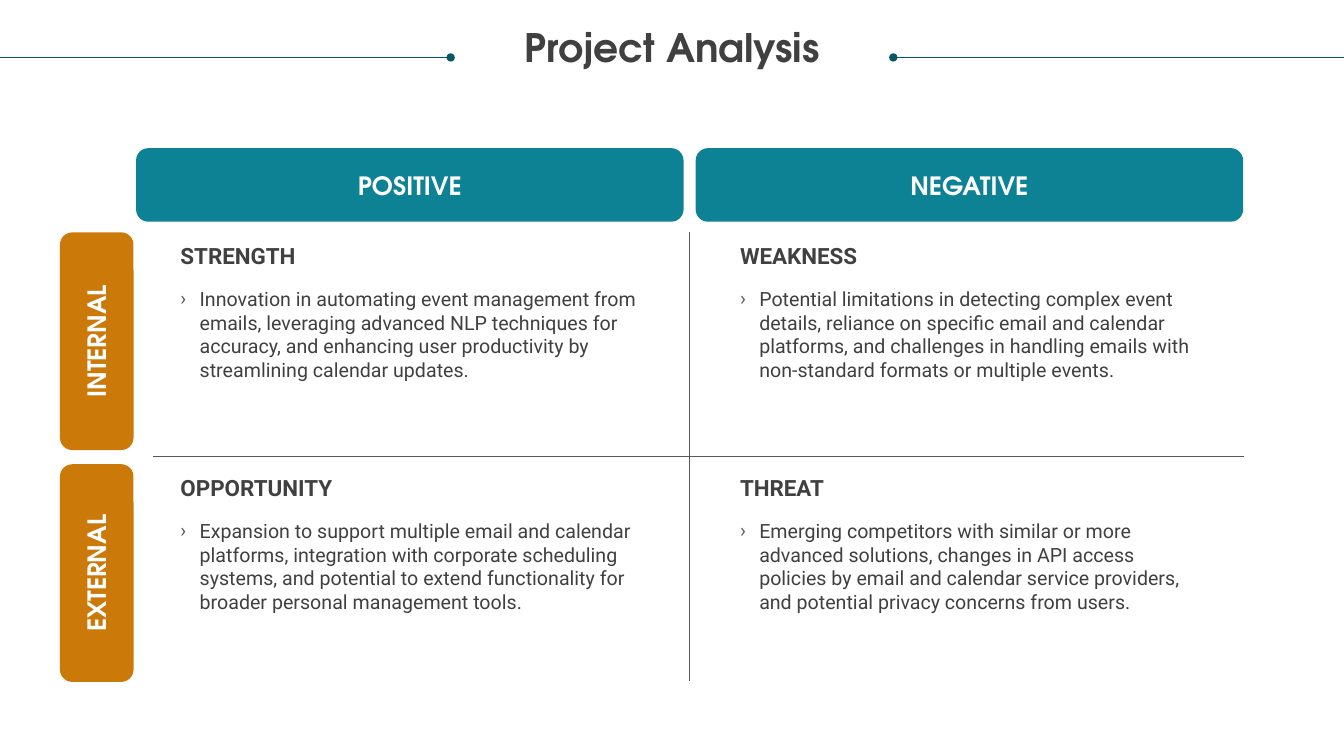
"""Builds a SWOT matrix slide for a project analysis."""
import dataclasses

import lxml.etree
import pptx
import pptx.dml.color
import pptx.enum.shapes
import pptx.enum.text
import pptx.oxml.ns
import pptx.util

Inches = pptx.util.Inches
ALIGN = pptx.enum.text.PP_ALIGN
ANCHOR = pptx.enum.text.MSO_ANCHOR


@dataclasses.dataclass(frozen=True)
class Theme:
    heading_font: str = "TeX Gyre Adventor"
    body_font: str = "Roboto"
    text: str = "404040"
    light: str = "FFFFFF"
    column: str = "0D8295"
    row: str = "CB7A09"
    title_rule: str = "085764"
    grid: str = "585858"
    title_size: int = 28
    bar_size: int = 18
    heading_size: int = 16
    body_size: int = 14
    line_width: float = 0.5


def rgb(color):
    return pptx.dml.color.RGBColor.from_string(color)


def add_xml(parent, tag, **attributes):
    return lxml.etree.SubElement(parent, pptx.oxml.ns.qn(tag), attributes)


class SlideBuilder:
    def __init__(self, slide, theme):
        self.slide = slide
        self.theme = theme

    def add_span(self, para, text, font, size, color, bold=False):
        span = para.add_run()
        span.text = text
        span.font.name = font
        span.font.size = pptx.util.Pt(size)
        span.font.bold = bold
        span.font.color.rgb = rgb(color)

    def prepare_frame(self, frame):
        frame.word_wrap = True
        frame.auto_size = pptx.enum.text.MSO_AUTO_SIZE.NONE
        frame.vertical_anchor = ANCHOR.TOP
        frame.margin_left = frame.margin_right = 0
        frame.margin_top = frame.margin_bottom = 0
        return frame.paragraphs[0]

    def title(self, text, left, top, width, height):
        box = self.slide.shapes.title
        box.left, box.top = Inches(left), Inches(top)
        box.width, box.height = Inches(width), Inches(height)
        para = self.prepare_frame(box.text_frame)
        para.alignment = ALIGN.CENTER
        para.line_spacing = 0.9
        self.add_span(para, text, self.theme.heading_font,
                      self.theme.title_size, self.theme.text, True)

    def text_box(self, left, top, width, height):
        box = self.slide.shapes.add_textbox(
            Inches(left), Inches(top), Inches(width), Inches(height))
        return self.prepare_frame(box.text_frame)

    def heading(self, text, left, top, width):
        para = self.text_box(left, top, width, 0.27)
        self.add_span(para, text, self.theme.body_font,
                      self.theme.heading_size, self.theme.text, True)

    def bullet(self, text, left, top, width):
        para = self.text_box(left, top, width, 0.94)
        para.space_before = pptx.util.Pt(12)
        self.add_span(para, text, self.theme.body_font, self.theme.body_size,
                      self.theme.text)
        properties = para._p.get_or_add_pPr()
        properties.set("marL", str(Inches(0.19)))
        properties.set("indent", str(-Inches(0.19)))
        add_xml(add_xml(properties, "a:buClr"), "a:srgbClr", val=self.theme.grid)
        add_xml(properties, "a:buFont", typeface=self.theme.body_font)
        add_xml(properties, "a:buChar", char="›")

    def bar(self, text, left, top, width, height, color, rotation=0):
        bar = self.slide.shapes.add_shape(
            pptx.enum.shapes.MSO_SHAPE.ROUNDED_RECTANGLE,
            Inches(left), Inches(top), Inches(width), Inches(height))
        bar.rotation = rotation
        bar.shadow.inherit = False
        bar.fill.solid()
        bar.fill.fore_color.rgb = rgb(color)
        bar.line.fill.background()
        bar.text_frame.vertical_anchor = ANCHOR.MIDDLE
        para = bar.text_frame.paragraphs[0]
        para.alignment = ALIGN.CENTER
        self.add_span(para, text, self.theme.heading_font, self.theme.bar_size,
                      self.theme.light, True)

    def line(self, start, end, color, dot=False):
        line = self.slide.shapes.add_connector(
            pptx.enum.shapes.MSO_CONNECTOR.STRAIGHT,
            *(Inches(value) for value in (*start, *end)))
        line.line.color.rgb = rgb(color)
        line.line.width = pptx.util.Pt(self.theme.line_width)
        properties = line._element.spPr
        if dot:
            add_xml(properties.find(pptx.oxml.ns.qn("a:ln")), "a:headEnd",
                    type="oval")
        add_xml(properties, "a:effectLst")


QUADRANTS = [
    [("STRENGTH", "Innovation in automating event management from emails, "
      "leveraging advanced NLP techniques for accuracy, and enhancing user "
      "productivity by streamlining calendar updates."),
     ("WEAKNESS", "Potential limitations in detecting complex event details, "
      "reliance on specific email and calendar platforms, and challenges in "
      "handling emails with non-standard formats or multiple events.")],
    [("OPPORTUNITY", "Expansion to support multiple email and calendar "
      "platforms, integration with corporate scheduling systems, and potential "
      "to extend functionality for broader personal management tools."),
     ("THREAT", "Emerging competitors with similar or more advanced solutions, "
      "changes in API access policies by email and calendar service providers, "
      "and potential privacy concerns from users.")],
]
COLUMN_STEP, ROW_STEP = 5.55, 2.3


def main():
    deck = pptx.Presentation()
    deck.slide_width, deck.slide_height = Inches(13.33), Inches(7.5)
    theme = Theme()
    page = SlideBuilder(deck.slides.add_slide(deck.slide_layouts[5]), theme)

    page.title("Project Analysis", 0.25, 0.28, 12.83, 0.73)
    for dot, edge in ((4.47, 0), (8.86, 13.33)):
        page.line((dot, 0.57), (edge, 0.57), theme.title_rule, dot=True)

    for column, label in enumerate(("POSITIVE", "NEGATIVE")):
        page.bar(label, 1.35 + column * COLUMN_STEP, 1.47, 5.43, 0.73, theme.column)
    for row, label in enumerate(("INTERNAL", "EXTERNAL")):
        page.bar(label, -0.12, 3.02 + row * ROW_STEP, 2.16, 0.73, theme.row, 270)

    page.line((1.52, 4.53), (12.34, 4.53), theme.grid)
    page.line((6.84, 2.3), (6.84, 6.76), theme.grid)

    for row, cells in enumerate(QUADRANTS):
        for column, (heading, detail) in enumerate(cells):
            left = 1.79 + column * COLUMN_STEP
            page.heading(heading, left, 2.4 + row * ROW_STEP, 4.55)
            page.bullet(detail, left, 2.85 + row * ROW_STEP, 4.55)

    deck.save("out.pptx")


if __name__ == "__main__":
    main()
